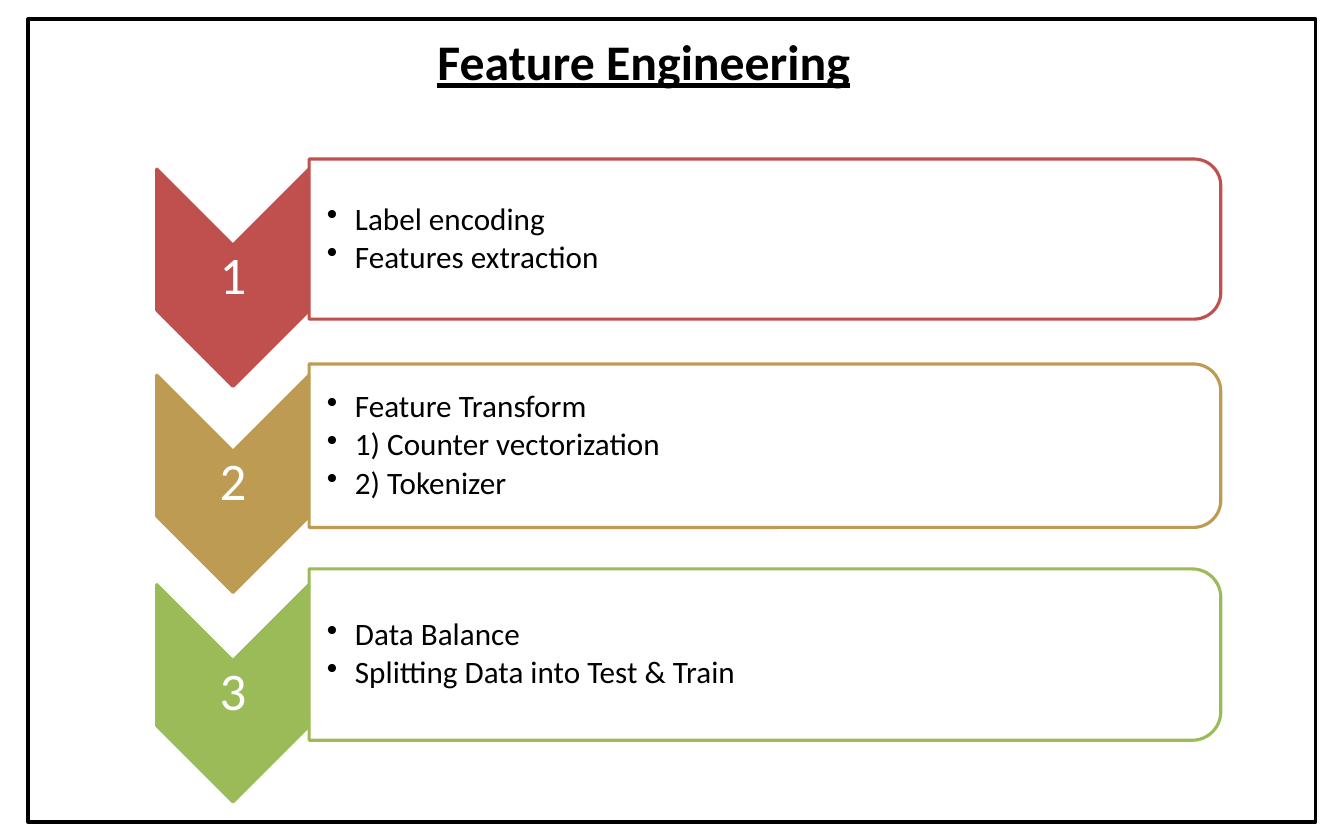
from lxml.etree import SubElement
from pptx import Presentation
from pptx.dml.color import RGBColor
from pptx.enum.shapes import MSO_SHAPE as Shape
from pptx.enum.text import MSO_ANCHOR as Anchor, PP_ALIGN as Align
from pptx.oxml.ns import qn
from pptx.util import Inches, Pt

COLOURS = {
    "black": "000000",
    "white": "FFFFFF",
    "red": "C0504D",
    "gold": "BD9B53",
    "green": "9BBB59",
}
COLUMNS, ROWS = 12, 7.5

# colour, chevron top, card height, bullet lines
STEPS = [
    ("red", 1.51, 1.43, ["Label encoding", "Features extraction"]),
    ("gold", 3.35, 1.46, ["Feature Transform", "1) Counter vectorization", "2) Tokenizer"]),
    ("green", 5.22, 1.53, ["Data Balance", "Splitting Data into Test & Train"]),
]
CHEVRON_LEFT, CHEVRON_WIDTH, CHEVRON_HEIGHT = 1.4, 1.36, 1.94
CARD_LEFT, CARD_WIDTH = 2.76, 8.14
CARD_TOP, CARD_PITCH = 1.42, 1.83
NUMBER_HEIGHT = 0.58


class Painter:
    """Holds the style and the current page; places are columns and rows."""

    font = "Calibri"
    line_width = Pt(2)

    def __init__(self, deck):
        self.column = deck.slide_width / COLUMNS
        self.row = deck.slide_height / ROWS
        self.page = deck.slides.add_slide(deck.slide_layouts[6])

    def colour(self, name):
        return RGBColor.from_string(COLOURS[name])

    def place(self, left, top, width, height):
        return (round(left * self.column), round(top * self.row),
                round(width * self.column), round(height * self.row))

    def shape(self, kind, area, line, fill=None, opacity=100):
        shape = self.page.shapes.add_shape(kind, *self.place(*area))
        shape.shadow.inherit = False
        shape.line.color.rgb = self.colour(line)
        shape.line.width = self.line_width
        if fill is None:
            shape.fill.background()
            return shape
        shape.fill.solid()
        shape.fill.fore_color.rgb = self.colour(fill)
        if opacity < 100:
            tint = shape.fill._xPr.find(qn("a:solidFill"))[0]
            SubElement(tint, qn("a:alpha"), val=str(opacity * 1000))
        return shape

    def turned_shape(self, kind, area, *style):
        """Draws a shape turned a quarter clockwise so that it covers area."""
        left, top, width, height = area
        shift = (width - height) / 2
        shape = self.shape(kind, (left + shift, top - shift, height, width), *style)
        shape.rotation = 90

    def text(self, area, lines, size, colour="black", align=Align.LEFT,
             margins=(0.1, 0.05, 0.1, 0.05), spacing=1.0, after=0,
             bold=None, underline=None, bullets=False):
        box = self.page.shapes.add_textbox(*self.place(*area))
        frame = box.text_frame
        frame.word_wrap = True
        frame.vertical_anchor = Anchor.MIDDLE
        (frame.margin_left, frame.margin_top,
         frame.margin_right, frame.margin_bottom) = map(Inches, margins)
        for index, line in enumerate(lines):
            para = frame.add_paragraph() if index else frame.paragraphs[0]
            para.alignment = align
            para.line_spacing = spacing
            para.space_after = Pt(after)
            if bullets:
                self.bullet(para)
            span = para.add_run()
            span.text = line
            span.font.name = self.font
            span.font.size = Pt(size)
            span.font.bold = bold
            span.font.underline = underline
            span.font.color.rgb = self.colour(colour)

    def bullet(self, para):
        para.level = 1
        properties = para._p.get_or_add_pPr()
        indent = Inches(0.25)
        properties.set("marL", str(indent))
        properties.set("indent", str(-indent))
        SubElement(properties, qn("a:buChar"), char="•")

    def step(self, index, colour, chevron_top, card_height, lines):
        self.turned_shape(
            Shape.CHEVRON,
            (CHEVRON_LEFT, chevron_top, CHEVRON_WIDTH, CHEVRON_HEIGHT), colour, colour)
        number_top = chevron_top + (CHEVRON_HEIGHT - NUMBER_HEIGHT) / 2
        self.text((CHEVRON_LEFT, number_top, CHEVRON_WIDTH, NUMBER_HEIGHT),
                  [str(index + 1)], 34, "white", Align.CENTER,
                  margins=(0.02,) * 4, spacing=0.9)
        card = (CARD_LEFT, CARD_TOP + index * CARD_PITCH, CARD_WIDTH, card_height)
        self.turned_shape(Shape.ROUND_2_SAME_RECTANGLE, card, colour, "white", 90)
        inset = 0.07
        self.text((CARD_LEFT, card[1] + inset, CARD_WIDTH - inset, card_height - 2 * inset),
                  lines, 20, margins=(0.16, 0.01, 0.01, 0.01),
                  spacing=0.9, after=3, bullets=True)


def main():
    deck = Presentation()
    deck.slide_width, deck.slide_height = Inches(12), Inches(7.5)
    painter = Painter(deck)
    painter.text((3.1, 0.22, 5.3, 0.64), ["Feature Engineering"], 32,
                 align=Align.CENTER, bold=True, underline=True)
    for index, step in enumerate(STEPS):
        painter.step(index, *step)
    painter.shape(Shape.RECTANGLE, (0.25, 0.17, 11.5, 7.17), "black")
    deck.save("out.pptx")


if __name__ == "__main__":
    main()
